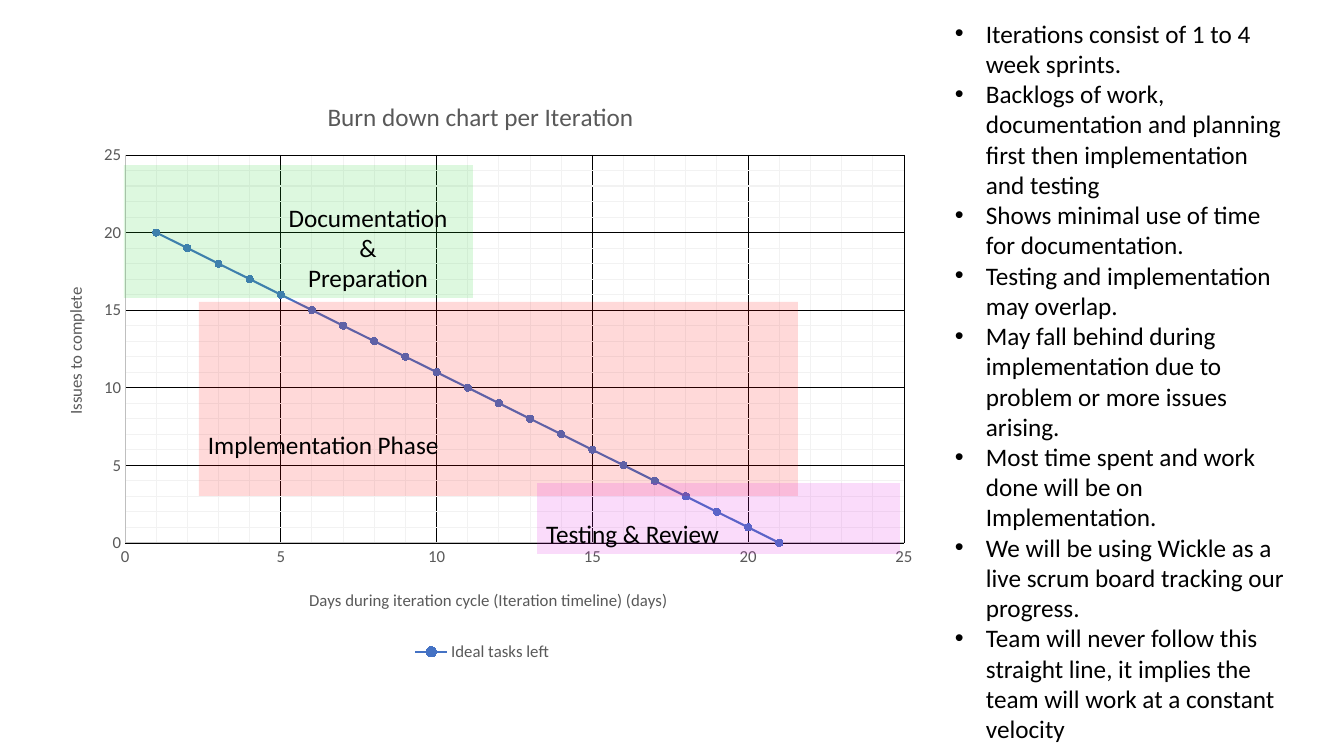
from dataclasses import dataclass

from lxml import etree
from pptx import Presentation
from pptx import util as u
from pptx.chart.data import XyChartData
from pptx.dml.color import RGBColor
from pptx.enum import chart as charts, shapes, text
from pptx.oxml import parse_xml
from pptx.oxml.ns import nsdecls, qn

EMU_PER_PIXEL = 914400 / 100.8


@dataclass(frozen=True)
class Theme:
    """Colours, font and type sizes of the slide."""
    font: str = "Calibri"
    ink: str = "000000"
    muted: str = "595959"
    axis: str = "BFBFBF"
    minor_grid: str = "F2F2F2"
    series: str = "4472C4"
    documentation: str = "20D429"
    implementation: str = "FF0101"
    testing: str = "E113E1"
    body_size: int = 18
    label_size: int = 12


@dataclass(frozen=True)
class Box:
    """A rectangle in pixels."""
    left: int
    top: int
    width: int
    height: int


@dataclass(frozen=True)
class Phase:
    """A tinted band of the iteration with its label."""
    lines: tuple[str, ...]
    box: Box
    color: str
    inset_left: int = 9
    inset_bottom: int = 5
    align: text.PP_ALIGN = text.PP_ALIGN.LEFT


THEME = Theme()
CHART = Box(34, 69, 896, 598)
PLOT = Box(125, 155, 779, 388)
NOTES = Box(945, 13, 355, 743)
NOTE_INDENT = 31
PHASES = (
    Phase(("Documentation", "&", "Preparation"), Box(124, 165, 349, 133),
          THEME.documentation, inset_left=149, align=text.PP_ALIGN.CENTER),
    Phase(("Implementation Phase",), Box(199, 302, 599, 194),
          THEME.implementation, inset_bottom=36),
    Phase(("Testing & Review",), Box(537, 483, 363, 71), THEME.testing),
)
NOTE_LINES = (
    "Iterations consist of 1 to 4 week sprints.",
    "Backlogs of work, documentation and planning first then implementation and testing",
    "Shows minimal use of time for documentation.",
    "Testing and implementation may overlap.",
    "May fall behind during implementation due to problem or more issues arising.",
    "Most time spent and work done will be on Implementation.",
    "We will be using Wickle as a live scrum board tracking our progress.",
    "Team will never follow this straight line, it implies the team will work at a "
    "constant velocity",
)


def px(pixels: int) -> u.Emu:
    """Turn pixels into EMU."""
    return u.Emu(round(pixels * EMU_PER_PIXEL))


def frame(box: Box) -> tuple[u.Emu, ...]:
    """Give a box as left, top, width and height in EMU."""
    return px(box.left), px(box.top), px(box.width), px(box.height)


def style_font(font, size: int, color: str) -> None:
    """Set the theme font with a size and colour."""
    font.name, font.size, font.bold = THEME.font, u.Pt(size), False
    font.color.rgb = RGBColor.from_string(color)


def style_line(line, color: str, width: float) -> None:
    """Set a solid line."""
    line.color.rgb = RGBColor.from_string(color)
    line.width = u.Pt(width)


def fill_lines(text_frame, lines: tuple[str, ...]) -> None:
    """Write one paragraph for each line."""
    text_frame.word_wrap = True
    for index, line in enumerate(lines):
        paragraph = text_frame.paragraphs[0] if index == 0 else text_frame.add_paragraph()
        run = paragraph.add_run()
        run.text = line
        style_font(run.font, THEME.body_size, THEME.ink)


def place(element, left: int, top: int, size: tuple[int, int] | None = None) -> None:
    """Fix a chart part at a slide position, with an inner size if given."""
    for old in element.findall(qn("c:layout")):
        element.remove(old)
    values = [("xMode", "edge"), ("yMode", "edge"),
              ("x", round((left - CHART.left) / CHART.width, 4)),
              ("y", round((top - CHART.top) / CHART.height, 4))]
    if size:
        values.insert(0, ("layoutTarget", "inner"))
        values += [("w", round(size[0] / CHART.width, 4)),
                   ("h", round(size[1] / CHART.height, 4))]
    layout = parse_xml(f"<c:layout {nsdecls('c')}><c:manualLayout/></c:layout>")
    for name, value in values:
        etree.SubElement(layout[0], qn(f"c:{name}")).set("val", str(value))
    leading = [child for child in element if child.tag in (qn("c:tx"), qn("c:legendPos"))]
    element.insert(len(leading), layout)


def write_title(holder, title: str, size: int, left: int, top: int) -> None:
    """Write a chart or axis title at a fixed position."""
    run = holder.text_frame.paragraphs[0].add_run()
    run.text = title
    style_font(run.font, size, THEME.muted)
    place(holder._element, left, top)


def style_minor_grid(axis) -> None:
    """Colour the minor grid of an axis."""
    axis.has_minor_gridlines = True
    axis._element.find(qn("c:minorGridlines")).append(parse_xml(
        f"<c:spPr {nsdecls('c', 'a')}><a:ln w='{u.Pt(0.75)}'><a:solidFill>"
        f"<a:srgbClr val='{THEME.minor_grid}'/></a:solidFill></a:ln></c:spPr>"))


def style_axis(axis, title: str, left: int, top: int) -> None:
    """Scale an axis from 0 to 25 with both grids."""
    axis.minimum_scale, axis.maximum_scale = 0, 25
    axis.major_unit, axis.minor_unit = 5, 1
    axis.major_tick_mark = axis.minor_tick_mark = charts.XL_TICK_MARK.NONE
    axis.has_major_gridlines = True
    style_line(axis.major_gridlines.format.line, THEME.ink, 0.5)
    style_minor_grid(axis)
    style_line(axis.format.line, THEME.axis, 0.75)
    style_font(axis.tick_labels.font, THEME.label_size, THEME.muted)
    write_title(axis.axis_title, title, THEME.label_size, left, top)


def add_burn_down(slide) -> None:
    """Add the burn down chart."""
    data = XyChartData()
    tasks = data.add_series("Ideal tasks left")
    for left_over in range(21):
        tasks.add_data_point(21 - left_over, left_over)
    chart = slide.shapes.add_chart(charts.XL_CHART_TYPE.XY_SCATTER_LINES,
                                   *frame(CHART), data).chart
    style_font(chart.font, THEME.label_size, THEME.muted)
    write_title(chart.chart_title, "Burn down chart per Iteration",
                THEME.body_size, 323, 95)
    style_axis(chart.category_axis,
               "Days during iteration cycle (Iteration timeline) (days)", 306, 586)
    style_axis(chart.value_axis, "Issues to complete", 61, 284)
    chart.has_legend = True
    chart.legend.position = charts.XL_LEGEND_POSITION.BOTTOM
    chart.legend.include_in_layout = False
    style_font(chart.legend.font, THEME.label_size, THEME.muted)
    place(chart.legend._element, 410, 640)
    place(chart._chartSpace.chart.plotArea, PLOT.left, PLOT.top, (PLOT.width, PLOT.height))
    plot = chart.plots[0]
    plot.vary_by_categories = False
    series = plot.series[0]
    series.smooth = False
    style_line(series.format.line, THEME.series, 1.5)
    marker = series.marker
    marker.style, marker.size = charts.XL_MARKER_STYLE.CIRCLE, 5
    marker.format.fill.solid()
    marker.format.fill.fore_color.rgb = RGBColor.from_string(THEME.series)
    style_line(marker.format.line, THEME.series, 0.75)


def add_phase(slide, phase: Phase) -> None:
    """Add a see-through phase band with its label at the bottom."""
    shape = slide.shapes.add_shape(shapes.MSO_SHAPE.RECTANGLE, *frame(phase.box))
    shape.shadow.inherit = False
    shape.line.fill.background()
    shape.fill.solid()
    shape.fill.fore_color.rgb = RGBColor.from_string(phase.color)
    color = shape._element.spPr.find(f"{qn('a:solidFill')}/{qn('a:srgbClr')}")
    etree.SubElement(color, qn("a:alpha")).set("val", "15000")
    text_frame = shape.text_frame
    text_frame.vertical_anchor = text.MSO_ANCHOR.BOTTOM
    text_frame.margin_left = px(phase.inset_left)
    text_frame.margin_bottom = px(phase.inset_bottom)
    fill_lines(text_frame, phase.lines)
    for paragraph in text_frame.paragraphs:
        paragraph.alignment = phase.align


def add_notes(slide) -> None:
    """Add the bulleted remarks beside the chart."""
    text_frame = slide.shapes.add_textbox(*frame(NOTES)).text_frame
    fill_lines(text_frame, NOTE_LINES)
    for paragraph in text_frame.paragraphs:
        properties = paragraph._p.get_or_add_pPr()
        properties.set("marL", str(px(NOTE_INDENT)))
        properties.set("indent", str(-px(NOTE_INDENT)))
        etree.SubElement(properties, qn("a:buFont")).set("typeface", "Arial")
        etree.SubElement(properties, qn("a:buChar")).set("char", "•")


presentation = Presentation()
presentation.slide_width, presentation.slide_height = px(1344), px(756)
burn_down_slide = presentation.slides.add_slide(presentation.slide_layouts[6])
add_burn_down(burn_down_slide)
for band in PHASES:
    add_phase(burn_down_slide, band)
add_notes(burn_down_slide)
presentation.save("out.pptx")
